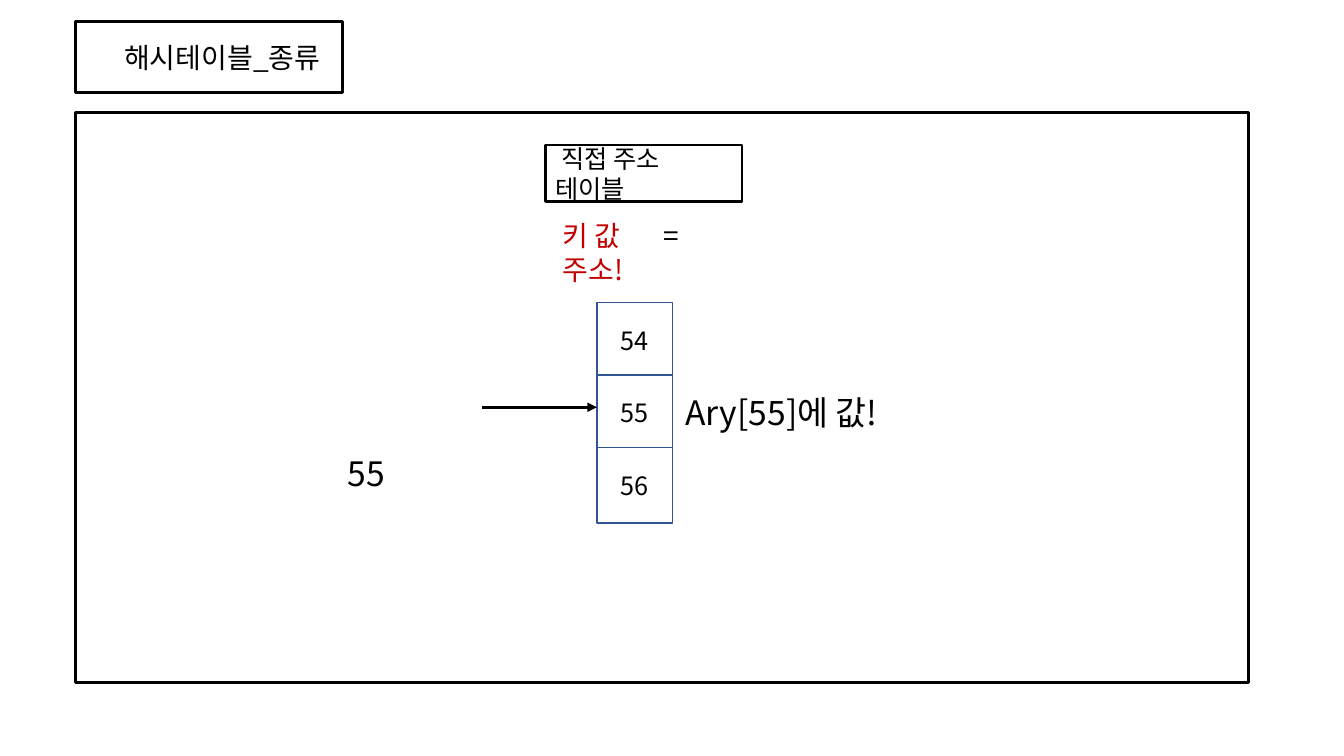
from lxml.etree import SubElement
from pptx import Presentation
from pptx.dml.color import RGBColor
from pptx.enum.shapes import MSO_CONNECTOR, MSO_SHAPE
from pptx.enum.text import MSO_ANCHOR, MSO_AUTO_SIZE, PP_ALIGN
from pptx.oxml.ns import qn
from pptx.util import Inches, Pt

# Content
TITLE = "해시테이블_종류"
SUBTITLE = "직접 주소 테이블"
RULE = [("키 값\t", "C00000"), ("= ", "000000"), ("주소!", "C00000")]
SLOTS = ["54", "55", "56"]
KEY = "55"
RESULT = "Ary[55]에 값!"

# Layout, in inches
WIDTH, HEIGHT = 13.33, 7.5
MARGIN = 0.75
SLOT_LEFT, SLOT_TOP, SLOT_SIZE, SLOT_STEP = 5.92, 3, 0.75, 0.72
ARROW_LEFT, ARROW_TOP = 4.78, 4.04
FONT = "Noto Sans CJK KR"
BLACK, WHITE, BLUE = "000000", "FFFFFF", "325491"


def color(value):
    return RGBColor.from_string(value)


def outline(shape, line_color, line_width):
    shape.fill.solid()
    shape.fill.fore_color.rgb = color(WHITE)
    shape.line.color.rgb = color(line_color)
    shape.line.width = Pt(line_width)


def add_box(left, top, width, height, line_color, line_width):
    box = page.shapes.add_shape(MSO_SHAPE.RECTANGLE, Inches(left), Inches(top),
                                Inches(width), Inches(height))
    box.shadow.inherit = False
    outline(box, line_color, line_width)
    return box


def write(shape, parts, size, anchor=MSO_ANCHOR.MIDDLE, align=PP_ALIGN.LEFT,
          indent=0, tab=None):
    frame = shape.text_frame
    frame.word_wrap = True
    frame.auto_size = MSO_AUTO_SIZE.NONE
    frame.vertical_anchor = anchor
    para = frame.paragraphs[0]
    para.alignment = align
    properties = para._p.get_or_add_pPr()
    properties.set("marL", "0")
    properties.set("indent", str(Inches(indent)))
    if tab:
        stops = SubElement(properties, qn("a:tabLst"))
        SubElement(stops, qn("a:tab"), pos=str(Inches(tab)), algn="l")
    for text, text_color in parts:
        span = para.add_run()
        span.text = text
        span.font.size = Pt(size)
        span.font.name = FONT
        span.font.color.rgb = color(text_color)
        SubElement(span._r.get_or_add_rPr(), qn("a:ea"), typeface=FONT)


def add_label(left, top, width, height, parts, size, tab=None):
    label = page.shapes.add_textbox(Inches(left), Inches(top),
                                    Inches(width), Inches(height))
    write(label, parts, size, MSO_ANCHOR.TOP, tab=tab)


deck = Presentation()
deck.slide_width, deck.slide_height = Inches(WIDTH), Inches(HEIGHT)
page = deck.slides.add_slide(deck.slide_layouts[5])

# Frame and title
add_box(MARGIN, 1.12, 11.63, 5.65, BLACK, 2.25)
title = page.shapes.title
title.left, title.top = Inches(MARGIN), Inches(0.21)
title.width, title.height = Inches(2.65), Inches(0.71)
outline(title, BLACK, 2.25)
write(title, [(TITLE, BLACK)], 20, indent=0.38)

# Kind of table and its rule
subtitle = add_box(5.41, 1.44, 1.95, 0.56, BLACK, 1.5)
write(subtitle, [(SUBTITLE, BLACK)], 18, indent=0.06)
add_label(5.48, 2.12, 1.69, 0.44, RULE, 20, tab=0.8)

# Array slots
for row, slot in enumerate(SLOTS):
    cell = add_box(SLOT_LEFT, SLOT_TOP + row * SLOT_STEP, SLOT_SIZE, SLOT_SIZE, BLUE, 1)
    write(cell, [(slot, BLACK)], 18, align=PP_ALIGN.CENTER)

# Key, arrow and result
add_label(3.35, 4.44, 2.65, 0.5, [(KEY, BLACK)], 24)
arrow = page.shapes.add_connector(MSO_CONNECTOR.STRAIGHT, Inches(ARROW_LEFT), Inches(ARROW_TOP),
                                  Inches(SLOT_LEFT), Inches(ARROW_TOP))
arrow.line.color.rgb = color(BLACK)
arrow.line.width = Pt(2.25)
SubElement(arrow.line._get_or_add_ln(), qn("a:tailEnd"), type="triangle")
SubElement(arrow._element.spPr, qn("a:effectLst"))
add_label(6.7, 3.84, 2.65, 0.5, [(RESULT, BLACK)], 24)

deck.save("out.pptx")
